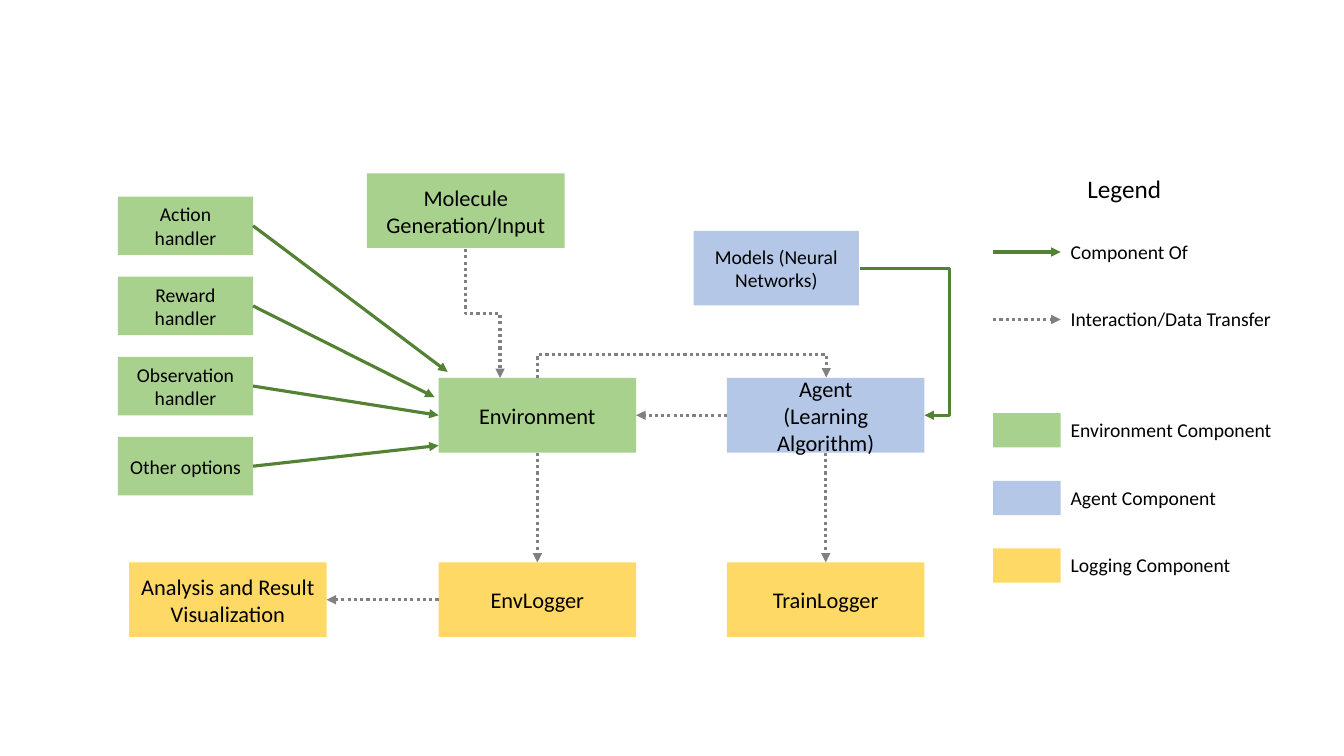
from pptx import Presentation, util as u
from pptx.dml.color import RGBColor
from pptx.enum import dml, shapes, text
from pptx.oxml.ns import qn
from lxml import etree

# Content
HEX = {"env": "A9D18E", "agent": "B4C7E7", "log": "FFD966",
       "part": "548235", "data": "808080", "ink": "000000", "back": "FFFFFF"}
COLS = {"part": 1.17, "view": 1.28, "input": 3.64, "env": 4.35,
        "model": 6.88, "agent": 7.21}
ROWS = {"input": 1.72, "model": 2.29, "core": 3.75, "log": 5.58}
SIZES = {"big": (1.96, 0.74, 16), "mid": (1.64, 0.74, 14),
         "small": (1.34, 0.58, 14)}

# name: (text, column, row, size, colour)
NODES = {
    "agent": ("Agent\n(Learning Algorithm)", "agent", "core", "big", "agent"),
    "model": ("Models (Neural Networks)", "model", "model", "mid", "agent"),
    "env": ("Environment", "env", "core", "big", "env"),
    "envlog": ("EnvLogger", "env", "log", "big", "log"),
    "trainlog": ("TrainLogger", "agent", "log", "big", "log"),
    "input": ("Molecule Generation/Input", "input", "input", "big", "env"),
    "view": ("Analysis and Result Visualization", "view", "log", "big", "log"),
}
PARTS = ["Action handler", "Reward handler", "Observation handler",
         "Other options"]
PART_TOP, PART_STEP = 1.95, 0.795
TIPS = [(4.44, 3.69), (4.31, 3.94), None, (4.35, 4.42)]  # None: side middle

# Straight data links: start, side, end, side
TOP, LEFT, BOTTOM, RIGHT = range(4)
LINKS = [("agent", BOTTOM, "trainlog", TOP), ("env", BOTTOM, "envlog", TOP),
         ("envlog", LEFT, "view", RIGHT), ("agent", LEFT, "env", RIGHT)]

# Bent links: unturned box, turn, flips, bend share, colour
BENDS = [((4.15, 2.94, 1.28, 0.34), 270, ("flipH",), 0.5, "data"),
         ((6.76, 3.75 - 1.43, 0.01, 2.86), 90, ("flipH", "flipV"), 24, "data"),
         ((8.53, 2.66, 0.64, 1.46), 0, (), 1.39, "part")]

KEY_X, KEY_W, KEY_H, KEY_STEP = 9.85, 0.67, 0.34, 0.67
KEYS = [(2.33, "line", [("Component Of", "part"),
                        ("Interaction/Data Transfer", "data")]),
        (4.10, "box", [("Environment Component", "env"),
                       ("Agent Component", "agent"),
                       ("Logging Component", "log")])]

deck = Presentation()
deck.slide_width, deck.slide_height = u.Inches(13.33), u.Inches(7.5)
slide = deck.slides.add_slide(deck.slide_layouts[6])


def inch(*nums):
    return [u.Inches(n) for n in nums]


def paint(frame, size, align):
    for para in frame.paragraphs:
        para.alignment = align
        for run in para.runs:
            run.font.name, run.font.size = "Calibri", u.Pt(size)
            run.font.color.rgb = RGBColor.from_string(HEX["ink"])


def box(home, area, tint, words="", size=16):
    rect = home.add_shape(shapes.MSO_SHAPE.RECTANGLE, *inch(*area))
    rect.shadow.inherit = False
    rect.fill.solid()
    rect.fill.fore_color.rgb = RGBColor.from_string(HEX[tint])
    rect.line.fill.background()
    if words:
        frame = rect.text_frame
        frame.text, frame.word_wrap = words, True
        frame.vertical_anchor = text.MSO_ANCHOR.MIDDLE
        paint(frame, size, text.PP_ALIGN.CENTER)
    return rect


def label(home, area, words, size=14, align=text.PP_ALIGN.LEFT):
    frame = home.add_textbox(*inch(*area)).text_frame
    frame.text, frame.word_wrap = words, True
    frame.auto_size = text.MSO_AUTO_SIZE.SHAPE_TO_FIT_TEXT
    paint(frame, size, align)


def arrow(home, tint, ends=(0, 0, 1, 1), kind="STRAIGHT"):
    link = home.add_connector(shapes.MSO_CONNECTOR[kind], *inch(*ends))
    link.line.width = u.Pt(2.25)
    link.line.color.rgb = RGBColor.from_string(HEX[tint])
    if tint == "data":
        link.line.dash_style = dml.MSO_LINE.ROUND_DOT
    props = link.element.spPr
    etree.SubElement(props.find(qn("a:ln")), qn("a:tailEnd"), type="triangle")
    etree.SubElement(props, qn("a:effectLst"))
    return link


# Boxes
nodes = {}
for name, (words, col, row, kind, tint) in NODES.items():
    wide, high, size = SIZES[kind]
    nodes[name] = box(slide.shapes, (COLS[col], ROWS[row], wide, high),
                      tint, words, size)

# Environment parts and their arrows
wide, high, size = SIZES["small"]
for i, (words, tip) in enumerate(zip(PARTS, TIPS)):
    area = (COLS["part"], PART_TOP + i * PART_STEP, wide, high)
    part = box(slide.shapes, area, "env", words, size)
    link = arrow(slide.shapes, "part", (0, 0, *(tip or (1, 1))))
    link.begin_connect(part, RIGHT)
    if tip is None:
        link.end_connect(nodes["env"], LEFT)

# Straight and bent links
for start, out, end, into in LINKS:
    link = arrow(slide.shapes, "data")
    link.begin_connect(nodes[start], out)
    link.end_connect(nodes[end], into)

for (x, y, w, h), turn, flips, bend, tint in BENDS:
    link = arrow(slide.shapes, tint, (x, y, x + w, y + h), "ELBOW")
    props = link.element.spPr
    frame = props.find(qn("a:xfrm"))
    frame.set("rot", str(turn * 60000))
    for flip in flips:
        frame.set(flip, "1")
    guides = props.find(qn("a:prstGeom")).find(qn("a:avLst"))
    etree.SubElement(guides, qn("a:gd"), name="adj1",
                     fmla=f"val {round(bend * 100000)}")

# Legend
legend = slide.shapes.add_group_shape().shapes
box(legend, (9.58, 1.49, 3.14, 4.57), "back")
label(legend, (10.17, 1.67, 1.96, 0.4), "Legend", 18, text.PP_ALIGN.CENTER)
for top, kind, rows in KEYS:
    for i, (words, tint) in enumerate(rows):
        y = top + i * KEY_STEP
        label(legend, (KEY_X + KEY_W, y, 2.2, KEY_H), words)
        if kind == "line":
            mid = y + KEY_H / 2
            arrow(legend, tint, (KEY_X, mid, KEY_X + KEY_W, mid))
        else:
            box(legend, (KEY_X, y, KEY_W, KEY_H), tint)

deck.save("out.pptx")
